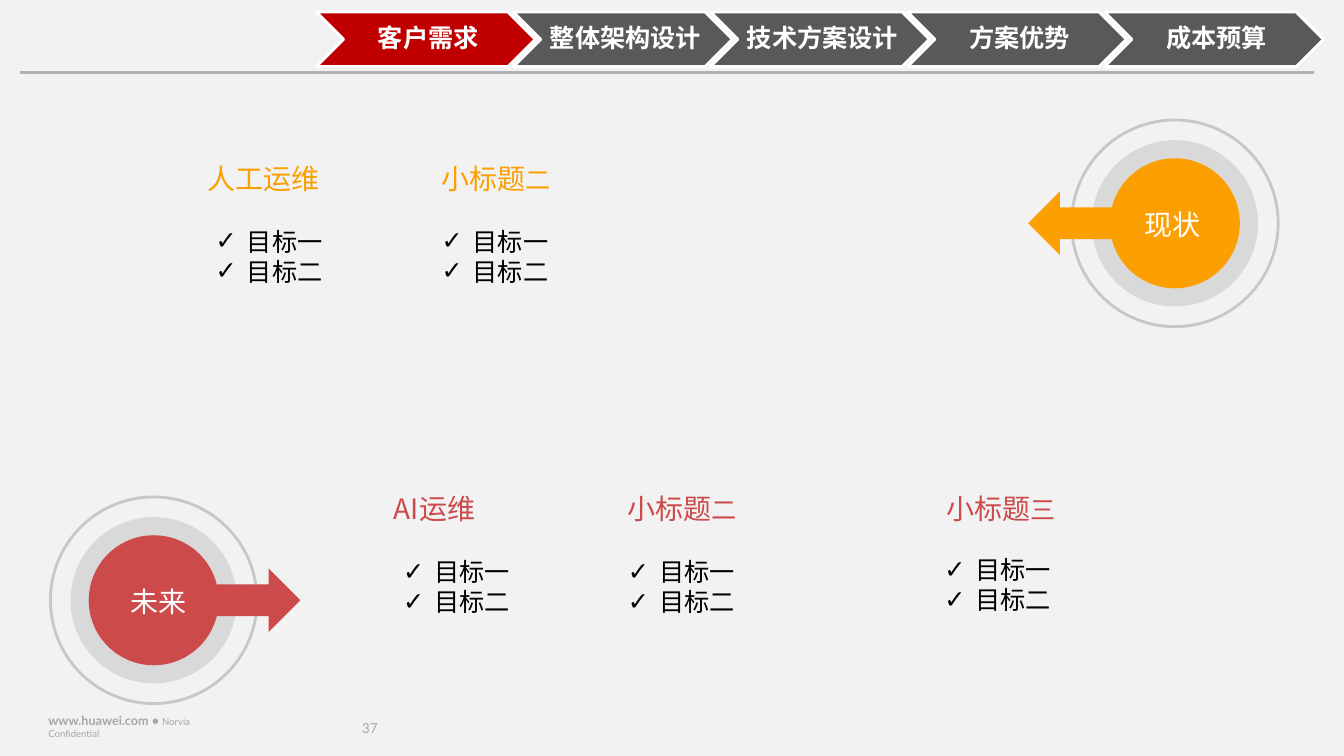
from dataclasses import dataclass

from lxml import etree
from pptx import Presentation, util as u
from pptx.dml.color import RGBColor
from pptx.enum import shapes, text
from pptx.oxml.ns import qn

CELL = u.Inches(0.1)  # side of one grid square
WIDE, HIGH = 133.33, 75

PAGE = RGBColor(0xF2, 0xF2, 0xF2)
WHITE = RGBColor(0xFF, 0xFF, 0xFF)
BLACK = RGBColor(0, 0, 0)
RED = RGBColor(0xC0, 0, 0)
CORAL = RGBColor(0xCC, 0x4A, 0x4A)
AMBER = RGBColor(0xFC, 0x9F, 0x02)
SLATE = RGBColor(0x59, 0x59, 0x59)
RING = RGBColor(0x80, 0x80, 0x80)
PALE = RGBColor(0xD9, 0xD9, 0xD9)
RULE = RGBColor(0xB2, 0xB2, 0xB2)
FAINT = RGBColor(0xA6, 0xA6, 0xA6)

HAN, LATIN = "Noto Sans CJK SC", "Lato"
STEPS = ["客户需求", "整体架构设计", "技术方案设计", "方案优势", "成本预算"]
GOALS = ["目标一", "目标二"]
KIND = shapes.MSO_SHAPE
MID, TOP = text.MSO_ANCHOR.MIDDLE, text.MSO_ANCHOR.TOP


@dataclass
class Run:
    words: str
    size: float
    hue: RGBColor
    face: str = HAN
    bold: bool = False


@dataclass
class Dial:
    x: float  # centre
    y: float
    turn: int  # 1 points right, -1 points left
    word: str
    shift: float  # label offset from the centre
    hue: RGBColor


@dataclass
class Topic:
    x: float
    y: float
    list_x: float
    list_y: float
    runs: list[Run]


DIALS = [
    Dial(15.25, 59.55, 1, "未来", 0.9, CORAL),
    Dial(116.55, 22.15, -1, "现状", 0.2, AMBER),
]


def numbered(mark: str, hue: RGBColor) -> list[Run]:
    return [Run("小标题", 20, hue), Run(mark, 18, hue, LATIN)]


TOPICS = [
    Topic(19.6, 15.5, 20.4, 21.9, [Run("人工运维", 20, AMBER)]),
    Topic(42.8, 15.5, 42.8, 21.9, numbered("二", AMBER)),
    Topic(38.1, 48.3, 39, 54.7, [Run("AI运维", 20, CORAL)]),
    Topic(61.3, 48.3, 61.3, 54.7, numbered("二", CORAL)),
    Topic(92.9, 48.3, 92.7, 54.5, numbered("三", CORAL)),
]


def put(item, **vals) -> None:
    for key, val in vals.items():
        setattr(item, key, val)


def grid(*cells: float) -> list[int]:
    return [round(cell * CELL) for cell in cells]


def place(shape, x: float, y: float, w: float, h: float) -> None:
    put(shape, **dict(zip(("left", "top", "width", "height"), grid(x, y, w, h))))


def draw(home, kind, x: float, y: float, w: float, h: float, fill=None, line=None):
    shape = home.add_shape(kind, *grid(x, y, w, h))
    shape.shadow.inherit = False
    if fill is None:
        shape.fill.background()
    else:
        shape.fill.solid()
        shape.fill.fore_color.rgb = fill
    if line is None:
        shape.line.fill.background()
    else:
        shape.line.color.rgb = line
        shape.line.width = u.Pt(2)
    return shape


def write(shape, paras: list[list[Run]], mark: str = "", pads=(1, 0.5, 1, 0.5),
          anchor=TOP, align=text.PP_ALIGN.LEFT, pitch: float = 1.0) -> None:
    """Fill a text shape; mark is the bullet, pads are left, top, right, bottom."""
    frame = shape.text_frame
    sides = ("margin_left", "margin_top", "margin_right", "margin_bottom")
    put(frame, word_wrap=True, auto_size=text.MSO_AUTO_SIZE.NONE,
        vertical_anchor=anchor, **dict(zip(sides, grid(*pads))))
    for i, runs in enumerate(paras):
        para = frame.add_paragraph() if i else frame.paragraphs[0]
        if mark:
            add_mark(para, mark)
        put(para, alignment=align, line_spacing=pitch,
            space_before=u.Pt(0), space_after=u.Pt(0))
        for run in runs:
            part = para.add_run()
            part.text = run.words
            put(part.font, size=u.Pt(run.size), bold=run.bold, name=run.face)
            part.font.color.rgb = run.hue
            props = part._r.get_or_add_rPr()
            etree.SubElement(props, qn("a:ea")).set("typeface", HAN)


def add_mark(para, mark: str) -> None:
    props = para._p.get_or_add_pPr()
    dent = grid(3.1)[0]
    props.set("marL", str(dent))
    props.set("indent", str(-dent))
    etree.SubElement(props, qn("a:buFont")).set("typeface", "Arial")
    etree.SubElement(props, qn("a:buChar")).set("char", mark)


def box(home, x: float, y: float, w: float, h: float):
    return home.add_textbox(*grid(x, y, w, h))


def draw_dial(home, dial: Dial) -> None:
    group = home.add_group_shape().shapes

    def centred(kind, w: float, h: float, fill=None, line=None, off: float = 0):
        shape = draw(group, kind, dial.x + off - w / 2, dial.y - h / 2, w, h, fill, line)
        shape.rotation = 0 if dial.turn > 0 else 180
        return shape

    centred(KIND.DONUT, 16.5, 16.5, PALE).adjustments[0] = 0.11
    centred(KIND.OVAL, 12.9, 12.9, dial.hue)
    ring = centred(KIND.OVAL, 20.5, 20.5, line=RING)
    tint = ring.line._ln.find(".//" + qn("a:srgbClr"))
    etree.SubElement(tint, qn("a:alpha")).set("val", "36000")
    centred(KIND.RIGHT_ARROW, 8.3, 6.3, dial.hue, off=10.4 * dial.turn)
    label = box(group, dial.x + dial.shift - 4.2, dial.y - 2.1, 8.4, 4.4)
    write(label, [[Run(dial.word, 20, WHITE)]])


def draw_steps(home, title) -> None:
    """Draw the step bar; the current step is the slide title."""
    for i, step in enumerate(STEPS):
        x = 31.4 + 19.55 * i
        draw(home, KIND.CHEVRON, x, 1.2, 21.7, 5.4, SLATE if i else RED, WHITE)
        label = box(home, x + 2.7, 1.2, 16.3, 5.4) if i else title
        if not i:
            place(title, x + 2.7, 1.2, 16.3, 5.4)
            title.element.getparent().append(title.element)
        write(label, [[Run(step, 18, WHITE, bold=True)]], pads=(0.8, 0.3, 0.3, 0.3),
              anchor=MID, align=text.PP_ALIGN.CENTER, pitch=0.9)


def draw_rule(home) -> None:
    rule = home.add_connector(shapes.MSO_CONNECTOR.STRAIGHT, *grid(2, 7.2, 130.4, 7.2))
    rule.line.color.rgb = RULE
    rule.line.width = u.Pt(2.25)
    etree.SubElement(rule.element.spPr, qn("a:effectLst"))


def draw_foot(home) -> None:
    write(box(home, 35.9, 71.3, 4, 2.1), [[Run("37", 9.8, FAINT, LATIN)]],
          pads=(0, 0, 0, 0), anchor=MID, pitch=0.85)
    notice = [Run("www.huawei.com • ", 9, FAINT, LATIN, True),
              Run("Norvia Confidential", 6.8, FAINT, LATIN)]
    write(box(home, 4.1, 70.9, 19.5, 2.3), [notice],
          pads=(0.7, 0.4, 0.7, 0.4), anchor=MID)


def main() -> None:
    deck = Presentation()
    put(deck, **dict(zip(("slide_width", "slide_height"), grid(WIDE, HIGH))))
    slide = deck.slides.add_slide(deck.slide_layouts.get_by_name("Comparison"))
    slide.background.fill.solid()
    slide.background.fill.fore_color.rgb = PAGE
    home, title = slide.shapes, slide.shapes.title
    slots = iter([slot for slot in slide.placeholders if slot.placeholder_format.idx])

    draw_foot(home)
    for dial in DIALS:
        draw_dial(home, dial)
    draw_steps(home, title)
    draw_rule(home)
    for topic in TOPICS:
        write(box(home, topic.x, topic.y, 15.4, 4.4), [topic.runs])
        spot = (topic.list_x, topic.list_y, 18.8, 7.1)
        goals = next(slots, None) or box(home, *spot)
        place(goals, *spot)
        write(goals, [[Run(goal, 18, BLACK)] for goal in GOALS], mark="✓")
    deck.save("out.pptx")


if __name__ == "__main__":
    main()
